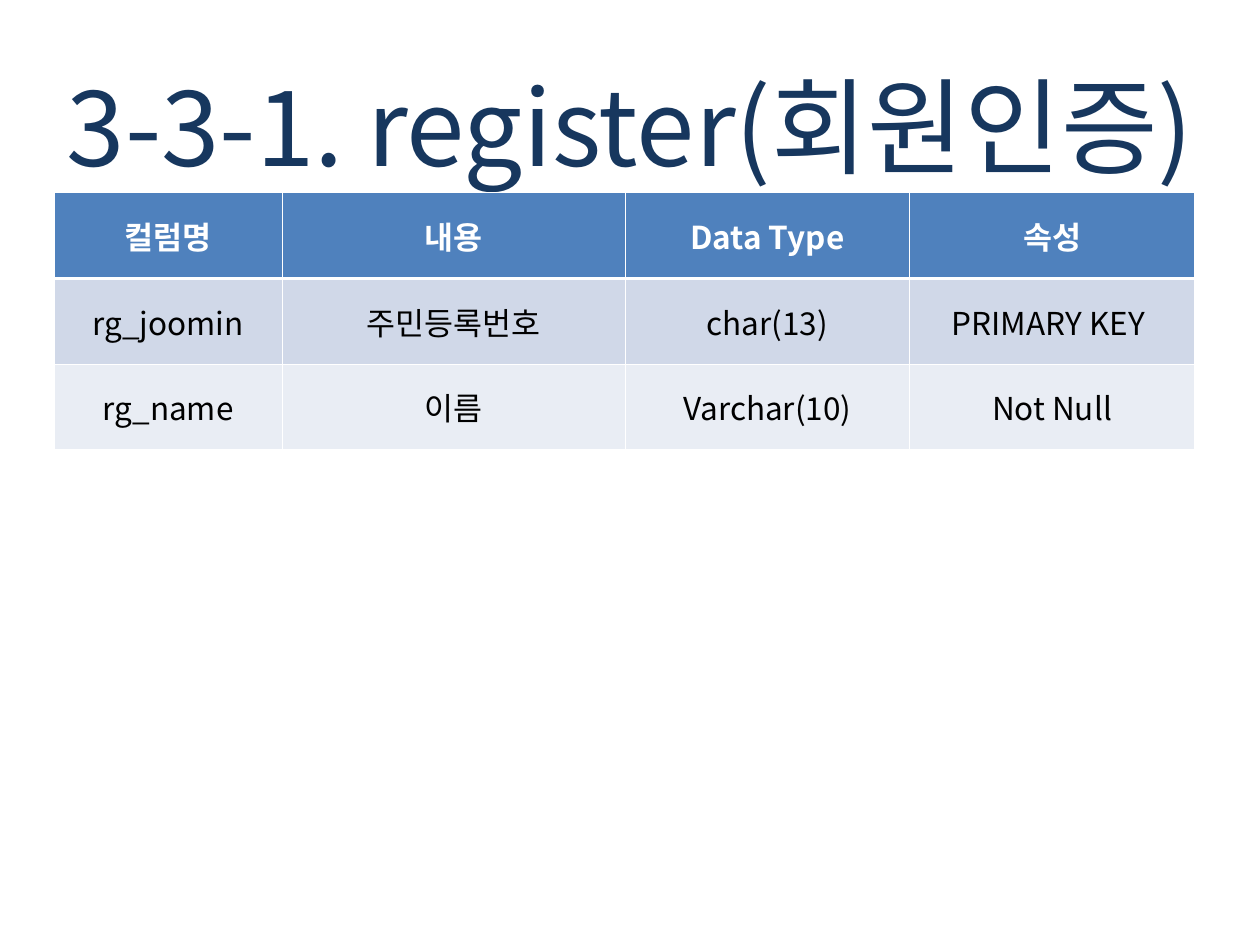
from lxml.etree import SubElement
from pptx import Presentation
from pptx.dml.color import RGBColor
from pptx.enum.text import MSO_ANCHOR, MSO_AUTO_SIZE, PP_ALIGN
from pptx.oxml.ns import qn
from pptx.util import Inches, Pt

# Content
TITLE = "3-3-1. register(회원인증)"
ROWS = [
    ("컬럼명", "내용", "Data Type", "속성"),
    ("rg_joomin", "주민등록번호", "char(13)", "PRIMARY KEY "),
    ("rg_name", "이름", "Varchar(10)", "Not Null"),
]

# Look
FONT = "Noto Sans CJK KR"
ROW_FILLS = ["4F81BD", "D0D8E8", "E9EDF4"]
COLUMN_WIDTHS = [1.81, 2.72, 2.26, 2.26]
ROW_HEIGHT = 0.68
THIN, THICK = 0.45, 1.47


def color(value):
    return RGBColor.from_string(value)


def write(text_frame, text, size, text_color, bold=False):
    paragraph = text_frame.paragraphs[0]
    paragraph.text = text
    paragraph.alignment = PP_ALIGN.CENTER
    font = paragraph.font
    font.name, font.size, font.bold = FONT, Pt(size), bold
    font.color.rgb = color(text_color)
    # Korean glyphs take the East Asian typeface
    properties = paragraph._p.pPr.find(qn("a:defRPr"))
    SubElement(properties, qn("a:ea"), typeface=FONT)


def add_borders(cell, widths):
    properties = cell._tc.get_or_add_tcPr()
    for index, (side, width) in enumerate(widths.items()):
        line = properties.makeelement(qn(f"a:ln{side}"), {"w": str(Pt(width))})
        fill = SubElement(line, qn("a:solidFill"))
        SubElement(fill, qn("a:srgbClr"), val="FFFFFF")
        properties.insert(index, line)


presentation = Presentation()
presentation.slide_width, presentation.slide_height = Inches(10), Inches(7.5)
slide = presentation.slides.add_slide(presentation.slide_layouts[5])

# Title
title = slide.shapes.title
title.left, title.top = Inches(0), Inches(0.44)
title.width, title.height = Inches(10), Inches(1.1)
title.text_frame.word_wrap = True
title.text_frame.auto_size = MSO_AUTO_SIZE.NONE
title.text_frame.vertical_anchor = MSO_ANCHOR.MIDDLE
write(title.text_frame, TITLE, 60, "17375E")

# Column definition table
table = slide.shapes.add_table(
    len(ROWS), len(COLUMN_WIDTHS), Inches(0.43), Inches(1.53),
    Inches(sum(COLUMN_WIDTHS)), Inches(ROW_HEIGHT * len(ROWS))).table
for column, width in zip(table.columns, COLUMN_WIDTHS):
    column.width = Inches(width)

for row_index, (texts, row_fill) in enumerate(zip(ROWS, ROW_FILLS)):
    header = row_index == 0
    table.rows[row_index].height = Inches(ROW_HEIGHT)
    borders = {"L": THIN, "R": THIN,
               "T": THICK if row_index == 1 else THIN,
               "B": THICK if header else THIN}
    for column_index, text in enumerate(texts):
        cell = table.cell(row_index, column_index)
        cell.vertical_anchor = MSO_ANCHOR.MIDDLE
        cell.fill.solid()
        cell.fill.fore_color.rgb = color(row_fill)
        add_borders(cell, borders)
        write(cell.text_frame, text, 18, "FFFFFF" if header else "000000", header)

presentation.save("out.pptx")
